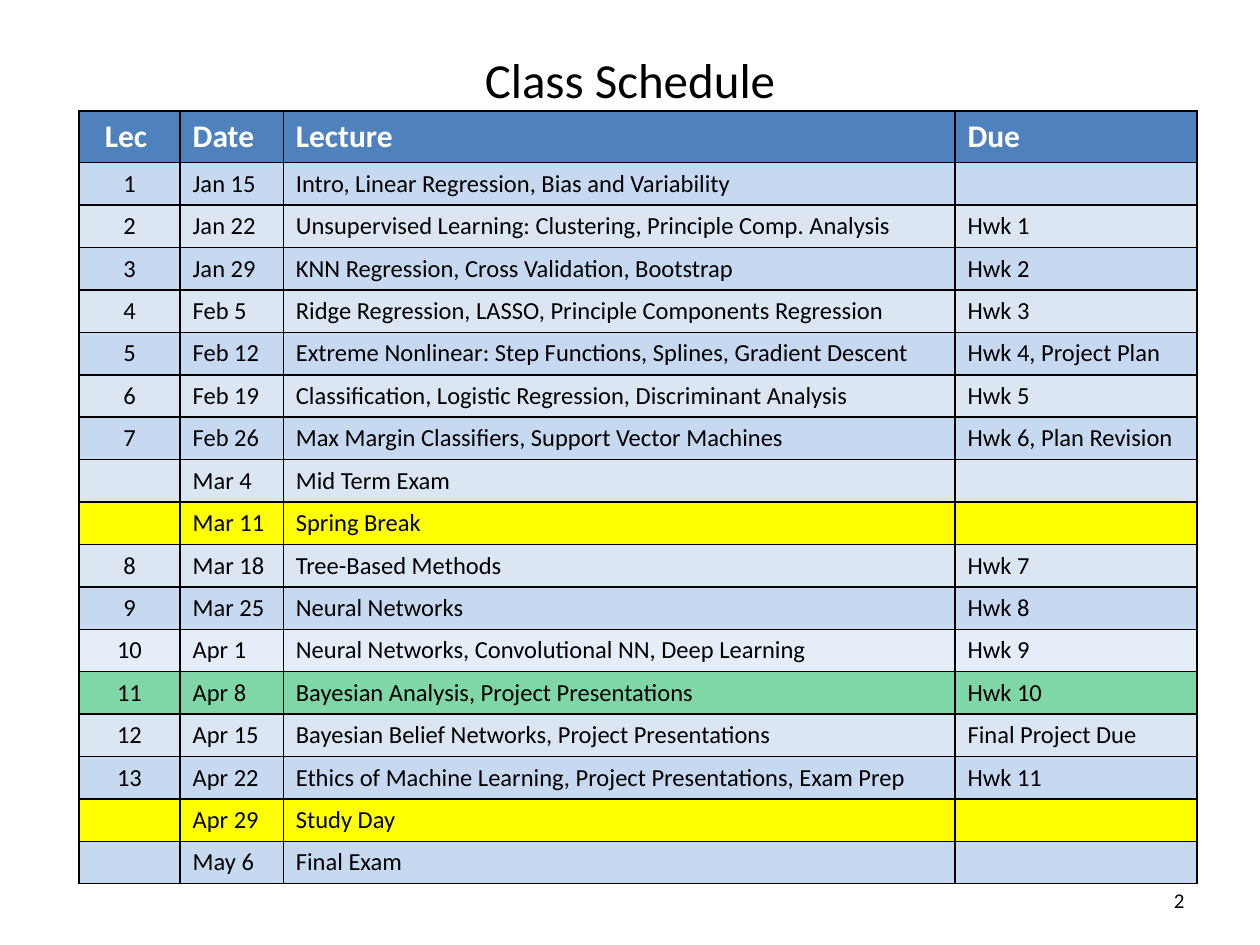
from dataclasses import dataclass
from typing import Optional

from lxml.etree import SubElement as Sub
from pptx import Presentation
from pptx.dml.color import RGBColor
from pptx.enum.text import MSO_ANCHOR as Anchor, PP_ALIGN as Align
from pptx.oxml.ns import qn
from pptx.util import Cm, Pt

INK, WHITE, HEAD = "000000", "FFFFFF", "4F81BD"
BANDS = ("DCE6F2", "C6D9F1")
EDGES = ("a:lnL", "a:lnR", "a:lnT", "a:lnB")
WIDTHS = (2.04, 2.08, 13.54, 4.88)
HEAD_HIGH, ROW_HIGH = 1.04, 0.855


@dataclass
class Tone:
    shade: str
    alpha: int = 100


@dataclass
class Row:
    num: str
    date: str
    topic: str
    due: str = ""
    tone: Optional[Tone] = None


BREAK = Tone("FFFF00")
PALE = Tone("C6D9F1", 46)
GREEN = Tone("00B050", 50)

ROWS = [
    Row("Lec ", "Date", "Lecture", "Due", Tone(HEAD)),
    Row("1", "Jan 15", "Intro, Linear Regression, Bias and Variability"),
    Row("2", "Jan 22", "Unsupervised Learning: Clustering, Principle Comp. Analysis", "Hwk 1"),
    Row("3", "Jan 29", "KNN Regression, Cross Validation, Bootstrap", "Hwk 2"),
    Row("4", "Feb 5", "Ridge Regression, LASSO, Principle Components Regression", "Hwk 3"),
    Row("5", "Feb 12", "Extreme Nonlinear: Step Functions, Splines, Gradient Descent", "Hwk 4, Project Plan"),
    Row("6", "Feb 19", "Classification, Logistic Regression, Discriminant Analysis", "Hwk 5"),
    Row("7", "Feb 26", "Max Margin Classifiers, Support Vector Machines", "Hwk 6, Plan Revision"),
    Row("", "Mar 4", "Mid Term Exam"),
    Row("", "Mar 11", "Spring Break", tone=BREAK),
    Row("8", "Mar 18", "Tree-Based Methods", "Hwk 7"),
    Row("9", "Mar 25", "Neural Networks", "Hwk 8"),
    Row("10", "Apr 1", "Neural Networks, Convolutional NN, Deep Learning", "Hwk 9", PALE),
    Row("11", "Apr 8", "Bayesian Analysis, Project Presentations", "Hwk 10", GREEN),
    Row("12", "Apr 15", "Bayesian Belief Networks, Project Presentations", "Final Project Due"),
    Row("13", "Apr 22", "Ethics of Machine Learning, Project Presentations, Exam Prep", "Hwk 11"),
    Row("", "Apr 29", "Study Day", tone=BREAK),
    Row("", "May 6", "Final Exam"),
]


def paint(target, shade: str) -> None:
    target.rgb = RGBColor.from_string(shade)


def write(frame, text: str, size: int, align, shade: str = INK, bold: bool = False) -> None:
    para = frame.paragraphs[0]
    para.alignment = align
    if not text:
        Sub(para._p, qn("a:endParaRPr"), sz=str(size * 100))
        return
    run = para.add_run()
    run.text = text
    for name, value in {"name": "Calibri", "size": Pt(size), "bold": bold}.items():
        setattr(run.font, name, value)
    paint(run.font.color, shade)


def add_text(slide, box: tuple, text: str, size: int, align) -> None:
    frame = slide.shapes.add_textbox(*map(Cm, box)).text_frame
    frame.word_wrap = True
    frame.vertical_anchor = Anchor.MIDDLE
    write(frame, text, size, align)


def style(cell, tone: Tone) -> None:
    props = cell._tc.get_or_add_tcPr()
    for edge in EDGES:
        line = Sub(props, qn(edge), w=str(Pt(1)))
        Sub(Sub(line, qn("a:solidFill")), qn("a:srgbClr"), val=INK)
    cell.fill.solid()
    paint(cell.fill.fore_color, tone.shade)
    if tone.alpha < 100:
        clr = props.find(qn("a:solidFill")).find(qn("a:srgbClr"))
        Sub(clr, qn("a:alpha"), val=str(tone.alpha * 1000))


def add_grid(slide, left: float, top: float) -> None:
    high = HEAD_HIGH + ROW_HIGH * (len(ROWS) - 1)
    size = map(Cm, (left, top, sum(WIDTHS), high))
    table = slide.shapes.add_table(len(ROWS), len(WIDTHS), *size).table
    for col, width in zip(table.columns, WIDTHS):
        col.width = Cm(width)
    for i, row in enumerate(ROWS):
        first = i == 0
        table.rows[i].height = Cm(HEAD_HIGH if first else ROW_HIGH)
        tone = row.tone or Tone(BANDS[i % 2])
        for j, text in enumerate((row.num, row.date, row.topic, row.due)):
            cell = table.cell(i, j)
            align = Align.LEFT if j else Align.CENTER
            write(cell.text_frame, text, 18 if first else 14, align, WHITE if first else INK, first)
            style(cell, tone)


def main() -> None:
    deck = Presentation()
    deck.slide_width, deck.slide_height = Cm(25.4), Cm(19.05)
    slide = deck.slides.add_slide(deck.slide_layouts[6])
    add_text(slide, (1.27, 0, 22.86, 3.18), "Class Schedule", 28, Align.CENTER)
    add_text(slide, (18.2, 17.65, 5.93, 1.01), "2", 12, Align.RIGHT)
    add_grid(slide, 1.59, 2.24)
    deck.save("out.pptx")


if __name__ == "__main__":
    main()
